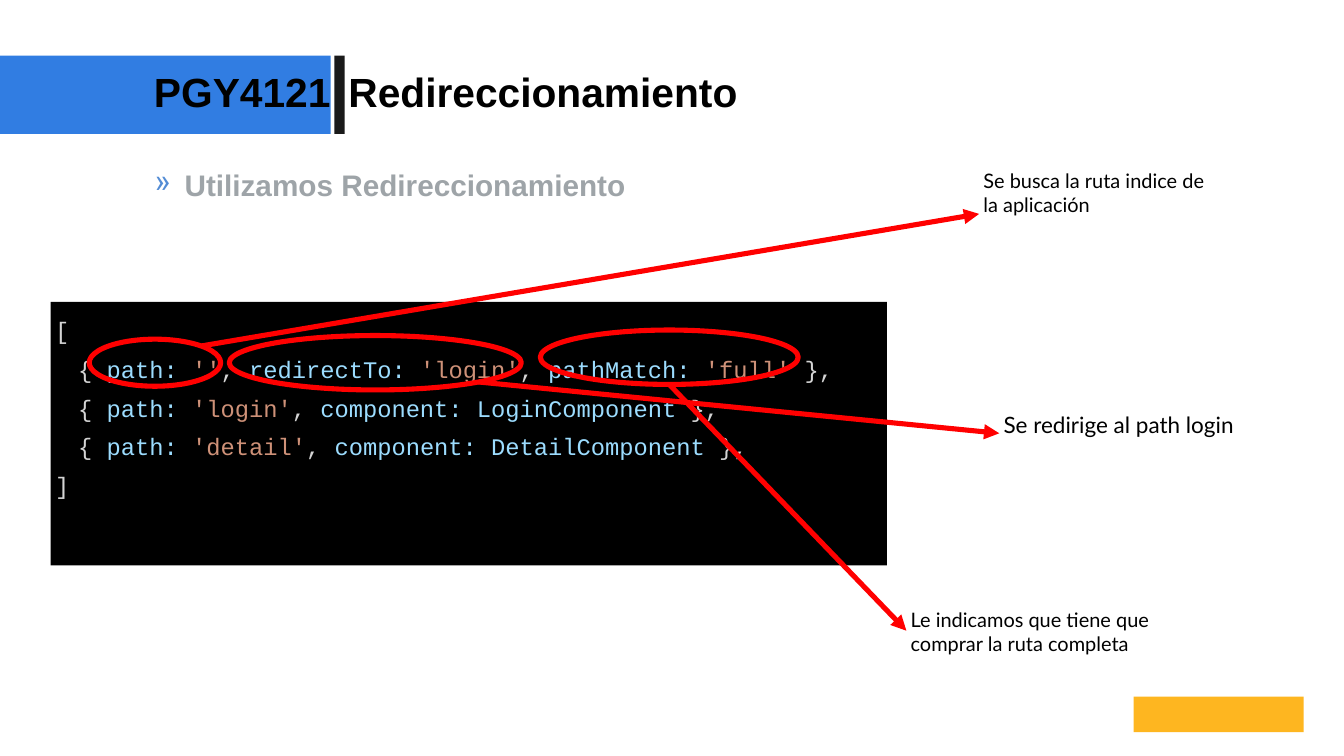
from pptx import Presentation
from pptx.dml.color import RGBColor
from pptx.enum.shapes import MSO_CONNECTOR, MSO_SHAPE
from pptx.enum.text import MSO_ANCHOR, PP_ALIGN
from pptx.oxml.ns import qn
from pptx.util import Inches, Pt
from lxml import etree

RECT, OVAL = MSO_SHAPE.RECTANGLE, MSO_SHAPE.OVAL
STRAIGHT = MSO_CONNECTOR.STRAIGHT
TOP = MSO_ANCHOR.TOP
LEFT, JUSTIFY = PP_ALIGN.LEFT, PP_ALIGN.JUSTIFY

BLUE = RGBColor(0x31, 0x7D, 0xE2)
INK = RGBColor(0x1A, 0x1A, 0x1A)
AMBER = RGBColor(0xFE, 0xB6, 0x20)
BLACK = RGBColor(0, 0, 0)
GREY = RGBColor(0x9E, 0xA4, 0xA8)
RED = RGBColor(0xFF, 0, 0)
BULLET = RGBColor(0x53, 0x8C, 0xD5)
PUNCT = RGBColor(0xD4, 0xD4, 0xD4)
KEY = RGBColor(0x9C, 0xDC, 0xFE)
STRING = RGBColor(0xCE, 0x91, 0x78)

TITLE = {"name": "Arial", "size": Pt(48), "bold": True}
SUBTITLE = {"name": "Arial", "size": Pt(35), "bold": True}
CODE = {"name": "Courier New", "size": Pt(28)}
NOTE = {"name": "Lato", "size": Pt(23.5)}
NOTE_LARGE = {"name": "Lato", "size": Pt(26.5)}

ROUTES = [
    [("path: ", "''"), ("redirectTo: ", "'login'"), ("pathMatch: ", "'full'")],
    [("path: ", "'login'"), ("component: LoginComponent", "")],
    [("path: ", "'detail'"), ("component: DetailComponent", "")],
]

CALLOUTS = [
    ((1.46, 5.55, 2.15, 0.77), (3.3, 5.66), (16.02, 3.5), (16.02, 2.69, 3.94, 1.62),
     "Se busca la ruta indice de la aplicación", NOTE),
    ((3.75, 5.49, 4.78, 0.89), (7.83, 6.25), (16.35, 7.09), (16.35, 6.65, 4.48, 0.89),
     "Se redirige al path login", NOTE_LARGE),
    ((8.84, 5.4, 4.22, 0.89), (10.95, 6.29), (14.83, 10.32), (14.83, 9.87, 4.48, 0.89),
     "Le indicamos que tiene que comprar la ruta completa", NOTE),
]


class SlideBuilder:
    """Draws styled elements on the current slide."""

    def __init__(self, s):
        self.s = s
        self.line_width = Pt(6)

    def shape(self, kind, box, fill=None, line=None):
        sp = self.s.shapes.add_shape(kind, *map(Inches, box))
        sp.shadow.inherit = False
        if fill is None:
            sp.fill.background()
        else:
            sp.fill.solid()
            sp.fill.fore_color.rgb = fill
        if line is None:
            sp.line.fill.background()
        else:
            sp.line.color.rgb = line
            sp.line.width = self.line_width
        return sp

    def arrow(self, start, end):
        cx = self.s.shapes.add_connector(STRAIGHT, *map(Inches, start + end))
        cx.line.color.rgb = RED
        cx.line.width = self.line_width
        etree.SubElement(cx.line._get_or_add_ln(), qn("a:tailEnd"), type="triangle")
        etree.SubElement(cx._element.spPr, qn("a:effectLst"))

    def frame(self, sp, inset):
        tf = sp.text_frame
        margins = dict(zip(("left", "top", "right", "bottom"), inset))
        for side, value in margins.items():
            setattr(tf, f"margin_{side}", Inches(value))
        tf.word_wrap = True
        tf.vertical_anchor = TOP
        return tf

    def run(self, p, text, style, color):
        r = p.add_run()
        r.text = text
        for name, value in style.items():
            setattr(r.font, name, value)
        r.font.color.rgb = color

    def text(self, box, text, style, color=BLACK, inset=(0, 0, 0, 0)):
        sp = self.s.shapes.add_textbox(*map(Inches, box))
        p = self.frame(sp, inset).paragraphs[0]
        self.run(p, text, style, color)
        return p

    def bullet(self, p, char):
        p.alignment = JUSTIFY
        pPr = p._p.get_or_add_pPr()
        pPr.set("marL", str(Inches(0.5)))
        pPr.set("indent", str(Inches(-0.49)))
        clr = etree.SubElement(pPr, qn("a:buClr"))
        etree.SubElement(clr, qn("a:srgbClr"), val=str(BULLET))
        etree.SubElement(pPr, qn("a:buChar"), char=char)

    def code(self, box, lines):
        tf = self.frame(self.shape(RECT, box, BLACK), (0.07,) * 4)
        for i, (indent, tokens) in enumerate(lines):
            p = tf.add_paragraph() if i else tf.paragraphs[0]
            p.alignment = LEFT
            p.line_spacing = 1.35
            p._p.get_or_add_pPr().set("indent", str(Inches(indent)))
            for text, color in tokens:
                self.run(p, text, CODE, color)


def route_tokens(pairs):
    tokens = [("{ ", PUNCT)]
    for i, (key, value) in enumerate(pairs):
        if i:
            tokens.append((", ", PUNCT))
        tokens.append((key, KEY))
        if value:
            tokens.append((value, STRING))
    return tokens + [(" },", PUNCT)]


def main():
    prs = Presentation()
    prs.slide_width, prs.slide_height = Inches(21.99), Inches(12.37)
    b = SlideBuilder(prs.slides.add_slide(prs.slide_layouts[6]))

    b.shape(RECT, (0, 0.91, 5.41, 1.28), BLUE)
    b.shape(RECT, (5.47, 0.91, 0.17, 1.28), INK)
    b.shape(RECT, (18.55, 11.4, 2.78, 0.58), AMBER)
    b.text((2.52, 1.1, 2.9, 0.81), "PGY4121", TITLE)
    b.text((5.7, 1.1, 9.97, 0.81), "Redireccionamiento", TITLE)
    p = b.text((2.52, 2.63, 16.94, 0.69), "Utilizamos Redireccionamiento",
               SUBTITLE, GREY, (0, 0.1, 0, 0))
    b.bullet(p, "»")

    routes = [(0.38, route_tokens(pairs)) for pairs in ROUTES]
    b.code((0.83, 4.94, 13.68, 4.31),
           [(0, [("[", PUNCT)]), *routes, (0, [("]", PUNCT)])])

    for ring, start, end, box, text, style in CALLOUTS:
        b.shape(OVAL, ring, line=RED)
        b.arrow(start, end)
        b.text(box, text, style, inset=(0.07,) * 4)

    prs.save("out.pptx")


if __name__ == "__main__":
    main()
